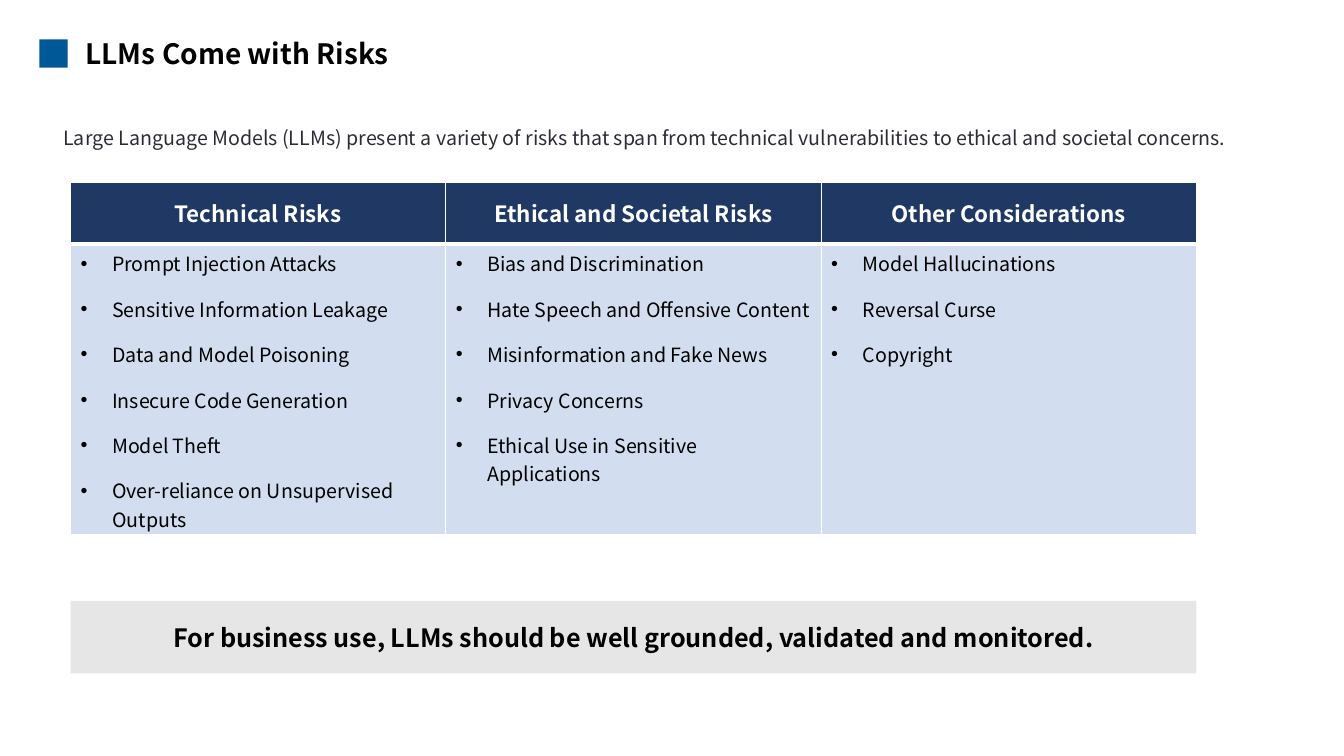
from dataclasses import dataclass

from lxml import etree
from pptx import Presentation
from pptx.dml.color import RGBColor
from pptx.enum.shapes import MSO_SHAPE
from pptx.enum.text import MSO_ANCHOR, MSO_AUTO_SIZE, PP_ALIGN
from pptx.oxml.ns import qn
from pptx.util import Pt

RECT = MSO_SHAPE.RECTANGLE
MIDDLE = MSO_ANCHOR.MIDDLE
GROW = MSO_AUTO_SIZE.SHAPE_TO_FIT_TEXT
LEFT, CENTER, JUSTIFY = PP_ALIGN.LEFT, PP_ALIGN.CENTER, PP_ALIGN.JUSTIFY

FONT = "Noto Sans CJK SC"
COLORS = {
    "accent": "005898",
    "black": "000000",
    "intro": "2C2C36",
    "white": "FFFFFF",
    "header": "203864",
    "body": "D2DEEF",
    "banner": "E7E6E6",
}
TABLE_LEFT, TABLE_TOP, TABLE_WIDTH = 50.4, 130.32, 804.24
HEADER_HEIGHT, BODY_HEIGHT = 43.92, 207.36
BULLET_INDENT = 22.5
THIN, THICK = 1, 3


@dataclass(frozen=True)
class Box:
    left: float
    top: float
    width: float
    height: float

    def lengths(self) -> tuple:
        return Pt(self.left), Pt(self.top), Pt(self.width), Pt(self.height)


@dataclass(frozen=True)
class Style:
    size: float
    color: str
    bold: bool = False
    align: PP_ALIGN = LEFT
    before: float = 0
    after: float = 0


@dataclass(frozen=True)
class RiskColumn:
    heading: str
    risks: tuple[str, ...]


TITLE = Style(20, "black", bold=True)
INTRO = Style(14, "intro", align=JUSTIFY, before=12, after=6)
HEADING = Style(16, "white", bold=True, align=CENTER)
RISK = Style(14, "black", before=6, after=6)
BANNER = Style(18, "black", bold=True, align=CENTER)

RISK_COLUMNS = (
    RiskColumn("Technical Risks", (
        "Prompt Injection Attacks",
        "Sensitive Information Leakage",
        "Data and Model Poisoning",
        "Insecure Code Generation",
        "Model Theft",
        "Over-reliance on Unsupervised Outputs",
    )),
    RiskColumn("Ethical and Societal Risks", (
        "Bias and Discrimination",
        "Hate Speech and Offensive Content",
        "Misinformation and Fake News",
        "Privacy Concerns",
        "Ethical Use in Sensitive Applications",
    )),
    RiskColumn("Other Considerations", (
        "Model Hallucinations",
        "Reversal Curse",
        "Copyright",
    )),
)


def rgb(name: str) -> RGBColor:
    return RGBColor.from_string(COLORS[name])


def write(p, text: str, style: Style) -> None:
    p.alignment = style.align
    p.space_before, p.space_after = Pt(style.before), Pt(style.after)
    r = p.add_run()
    r.text = text
    r.font.name = FONT
    r.font.size = Pt(style.size)
    r.font.bold = style.bold
    r.font.color.rgb = rgb(style.color)
    # East Asian text uses its own font slot
    etree.SubElement(r.font._element, qn("a:ea"), typeface=FONT)


def add_bullet(p) -> None:
    pPr = p._p.get_or_add_pPr()
    pPr.set("marL", str(Pt(BULLET_INDENT)))
    pPr.set("indent", str(-Pt(BULLET_INDENT)))
    etree.SubElement(pPr, qn("a:buFont"), typeface="Arial")
    etree.SubElement(pPr, qn("a:buChar"), char="•")


def add_text(s, box: Box, text: str, style: Style) -> None:
    tf = s.shapes.add_textbox(*box.lengths()).text_frame
    tf.word_wrap = True
    tf.auto_size = GROW
    write(tf.paragraphs[0], text, style)


def add_rect(s, box: Box, color: str):
    sp = s.shapes.add_shape(RECT, *box.lengths())
    sp.shadow.inherit = False
    sp.fill.solid()
    sp.fill.fore_color.rgb = rgb(color)
    sp.line.fill.background()
    return sp


def dress_cell(cell, color: str, top: float, bottom: float) -> None:
    """Give a cell white borders and a solid fill."""
    tcPr = cell._tc.get_or_add_tcPr()
    borders = {"a:lnL": THIN, "a:lnR": THIN, "a:lnT": top, "a:lnB": bottom}
    for tag, width in borders.items():
        ln = etree.SubElement(tcPr, qn(tag), w=str(Pt(width)))
        fill = etree.SubElement(ln, qn("a:solidFill"))
        etree.SubElement(fill, qn("a:srgbClr"), val=COLORS["white"])
    cell.fill.solid()
    cell.fill.fore_color.rgb = rgb(color)


def add_risk_table(s, columns: tuple[RiskColumn, ...]) -> None:
    box = Box(TABLE_LEFT, TABLE_TOP, TABLE_WIDTH, HEADER_HEIGHT + BODY_HEIGHT)
    table = s.shapes.add_table(2, len(columns), *box.lengths()).table
    table.horz_banding = False
    for row, height in zip(table.rows, (HEADER_HEIGHT, BODY_HEIGHT)):
        row.height = Pt(height)
    for i, column in enumerate(columns):
        table.columns[i].width = Pt(TABLE_WIDTH / len(columns))
        head, body = table.cell(0, i), table.cell(1, i)
        dress_cell(head, "header", THIN, THICK)
        dress_cell(body, "body", THICK, THIN)
        head.vertical_anchor = MIDDLE
        write(head.text_frame.paragraphs[0], column.heading, HEADING)
        tf = body.text_frame
        for j, risk in enumerate(column.risks):
            p = tf.add_paragraph() if j else tf.paragraphs[0]
            write(p, risk, RISK)
            add_bullet(p)


def main() -> None:
    prs = Presentation()
    prs.slide_width, prs.slide_height = Pt(960), Pt(540)
    s = prs.slides.add_slide(prs.slide_layouts[6])

    add_rect(s, Box(28.08, 28.08, 20.16, 20.16), "accent")
    add_text(s, Box(54, 22.32, 447.12, 31.68), "LLMs Come with Risks", TITLE)
    add_text(
        s, Box(38.16, 86.4, 884.16, 24.48),
        "Large Language Models (LLMs) present a variety of risks that span from "
        "technical vulnerabilities to ethical and societal concerns.",
        INTRO,
    )
    add_risk_table(s, RISK_COLUMNS)

    banner = add_rect(s, Box(TABLE_LEFT, 429.12, TABLE_WIDTH, 51.84), "banner")
    tf = banner.text_frame
    tf.word_wrap = True
    tf.vertical_anchor = MIDDLE
    write(
        tf.paragraphs[0],
        "For business use, LLMs should be well grounded, validated and monitored.",
        BANNER,
    )
    prs.save("out.pptx")


if __name__ == "__main__":
    main()
